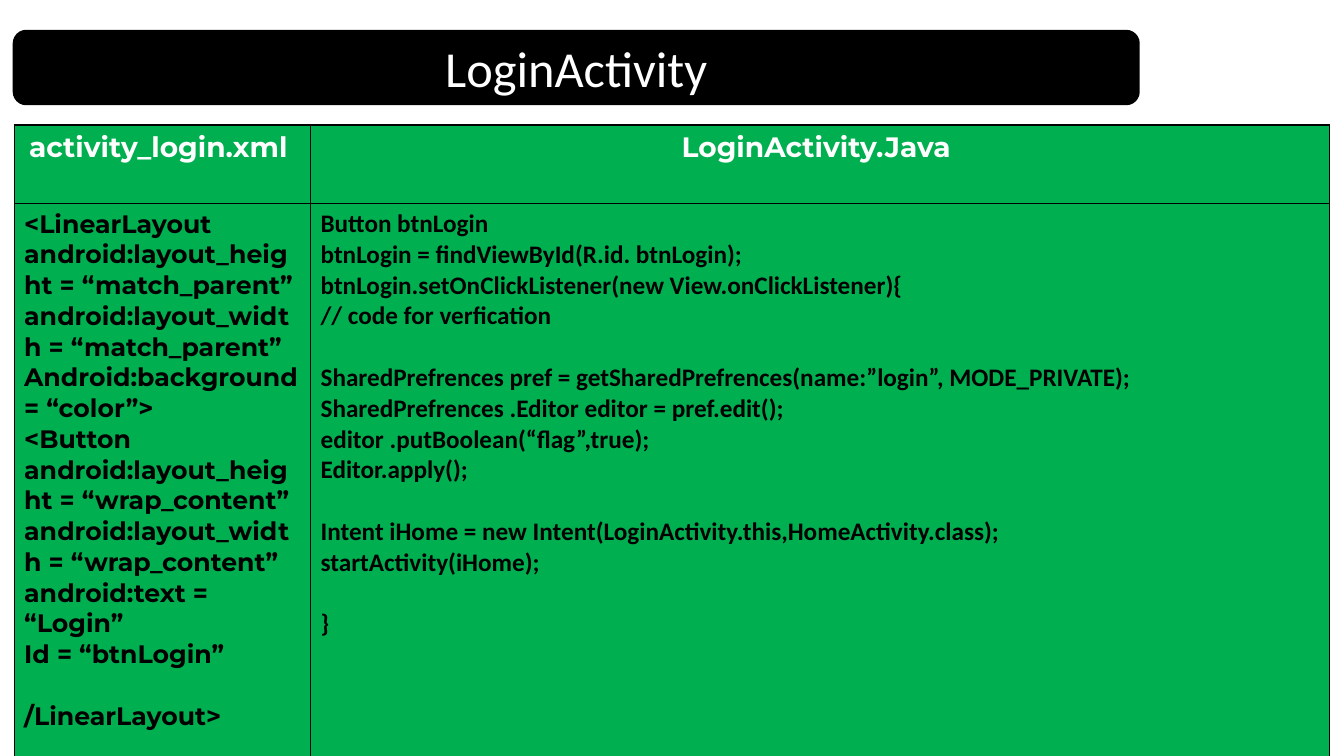
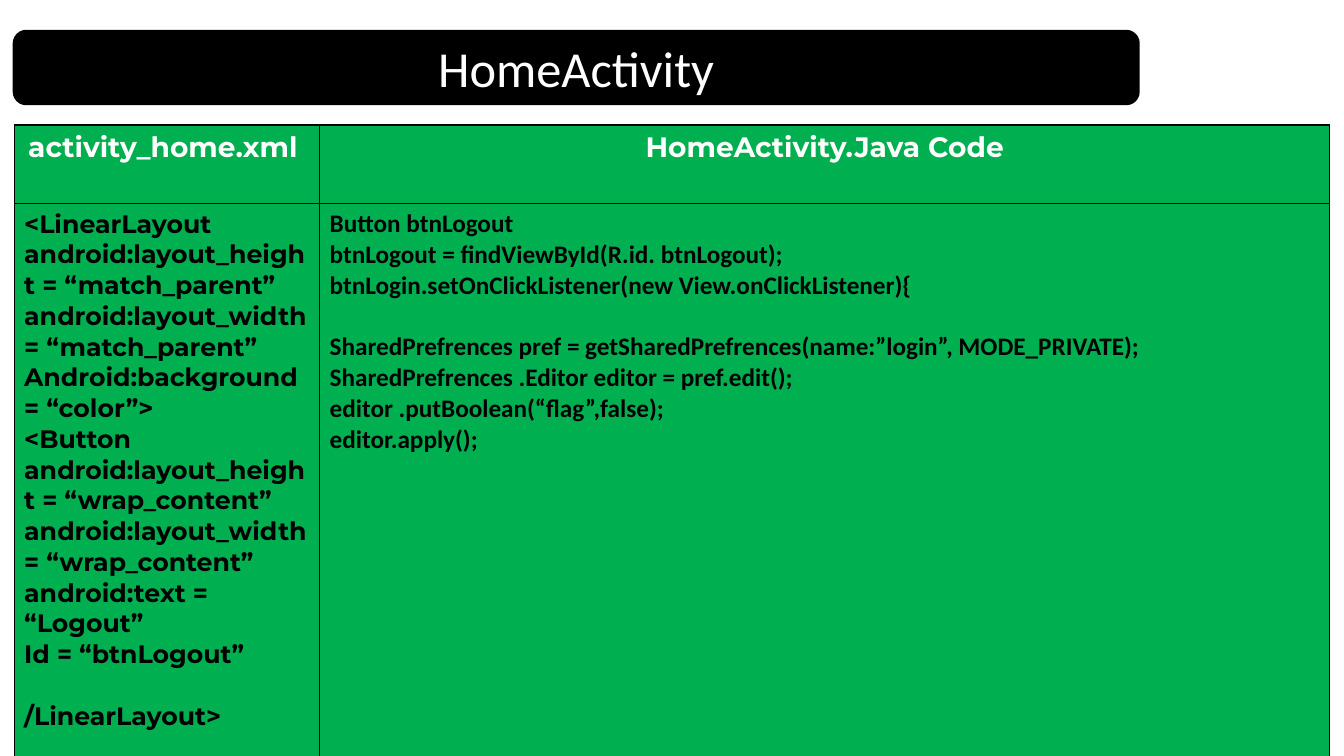
from lxml.etree import SubElement
from pptx import Presentation
from pptx.dml.color import RGBColor
from pptx.enum.shapes import MSO_SHAPE as Shape
from pptx.enum.text import MSO_ANCHOR as Anchor, PP_ALIGN as Align
from pptx.oxml.ns import qn
from pptx.util import Inches, Pt

HEX = {"ink": "000000", "paper": "FFFFFF", "cell": "00B050"}
HEAD, CODE = "Montserrat", "Calibri"
LEFT, WIDE = 0.14, 13.05
BAR = (LEFT, 0.31, 11.15, 0.72)
TOP, ROWS = 1.24, (0.78, 5.5)
LINE = Pt(22)

LOGIN = """Button btnLogin
btnLogin = findViewById(R.id. btnLogin);
btnLogin.setOnClickListener(new View.onClickListener){
// code for verfication

SharedPrefrences pref = getSharedPrefrences(name:”login”, MODE_PRIVATE);
SharedPrefrences .Editor editor = pref.edit();
editor .putBoolean(“flag”,true);
Editor.apply();

Intent iHome = new Intent(LoginActivity.this,HomeActivity.class);
startActivity(iHome);

}"""

HOME = """Button btnLogout
btnLogout = findViewById(R.id. btnLogout);
btnLogin.setOnClickListener(new View.onClickListener){

SharedPrefrences pref = getSharedPrefrences(name:”login”, MODE_PRIVATE);
SharedPrefrences .Editor editor = pref.edit();
editor .putBoolean(“flag”,false);
editor.apply();"""


def color(name):
    return RGBColor.from_string(HEX[name])


def layout_xml(label):
    """Return the layout markup for a screen with one button."""
    def size(value):
        return [f"android:layout_{side} = “{value}”"
                for side in ("height", "width")]
    return "\n".join([
        "<LinearLayout", *size("match_parent"), "Android:background = “color”>",
        "<Button", *size("wrap_content"), f"android:text = “{label}”",
        f"Id = “btn{label}”", "", "/LinearLayout>"])


def style(para, face, size, tint, bold=False):
    font = para.font
    font.name, font.size, font.bold = face, Pt(size), bold
    font.color.rgb = color(tint)


def add_title(slide, text, box):
    box = [Inches(n) for n in box]
    bar = slide.shapes.add_shape(Shape.ROUNDED_RECTANGLE, *box)
    bar.shadow.inherit = False
    bar.fill.solid()
    bar.fill.fore_color.rgb = bar.line.color.rgb = color("ink")
    bar.line.width = Pt(2)
    title = slide.shapes.title
    title.left, title.top, title.width, title.height = box
    title._element.addprevious(bar._element)
    frame = title.text_frame
    frame.text = text
    frame.vertical_anchor = Anchor.MIDDLE
    para = frame.paragraphs[0]
    para.alignment = Align.CENTER
    style(para, CODE, 36, "paper")


def paint(cell):
    """Give a cell its four borders and its fill."""
    props = cell._tc.get_or_add_tcPr()
    for side in "LRTB":
        edge = SubElement(props, qn(f"a:ln{side}"), w=str(Pt(1)))
        fill = SubElement(edge, qn("a:solidFill"))
        SubElement(fill, qn("a:srgbClr"), val=HEX["ink"])
    cell.fill.solid()
    cell.fill.fore_color.rgb = color("cell")


def write_head(cell, text):
    para = cell.text_frame.paragraphs[0]
    para.text = text
    para.alignment = Align.CENTER
    style(para, HEAD, 20, "paper", True)


def write_code(cell, text, face):
    """Write one paragraph a line; a blank line becomes space before the next."""
    frame = cell.text_frame
    para, gap = frame.paragraphs[0], False
    for num, line in enumerate(text.split("\n")):
        if not line:
            gap = True
            continue
        if num:
            para = frame.add_paragraph()
        para.text = line
        if gap:
            para.space_before = LINE
        style(para, face, 18, "ink", True)
        gap = False


def add_code(slide, heads, codes, split):
    """Add the two-column table whose first column is split inches wide."""
    table = slide.shapes.add_table(
        2, 2, Inches(LEFT), Inches(TOP), Inches(WIDE), Inches(sum(ROWS))).table
    table.first_row = table.horz_banding = False
    for col, width in zip(table.columns, (split, WIDE - split)):
        col.width = Inches(width)
    for row, height in zip(table.rows, ROWS):
        row.height = Inches(height)
    for cell in table.iter_cells():
        paint(cell)
    for num, face in enumerate((HEAD, CODE)):
        write_head(table.cell(0, num), heads[num])
        write_code(table.cell(1, num), codes[num], face)


def add_screen(deck, name, heads, codes, split):
    slide = deck.slides.add_slide(deck.slide_layouts[5])
    add_title(slide, name, BAR)
    add_code(slide, heads, codes, split)


def main():
    deck = Presentation()
    deck.slide_width, deck.slide_height = Inches(13.33), Inches(7.5)
    add_screen(deck, "LoginActivity",
               ("activity_login.xml ", "LoginActivity.Java "),
               (layout_xml("Login"), LOGIN), 2.94)
    add_screen(deck, "HomeActivity",
               ("activity_home.xml ", "HomeActivity.Java Code"),
               (layout_xml("Logout"), HOME), 3.03)
    deck.save("out.pptx")


if __name__ == "__main__":
    main()
